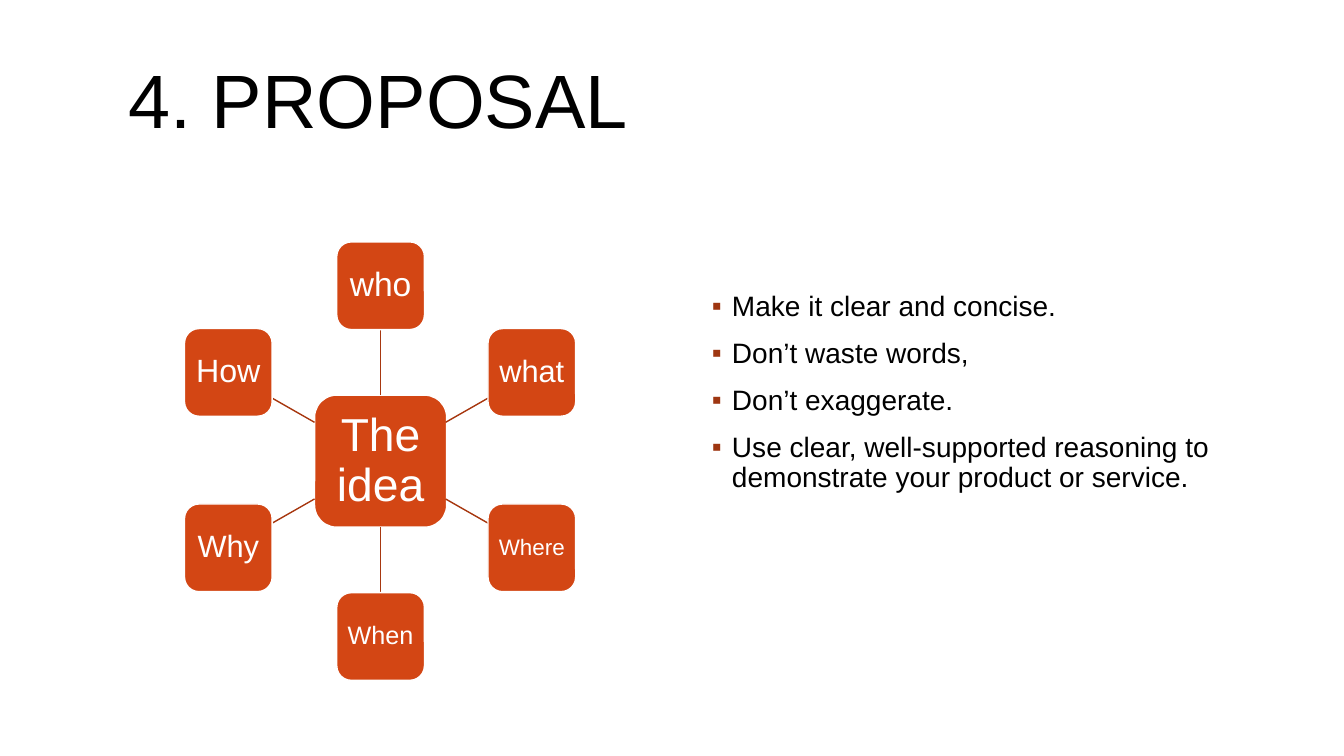
from dataclasses import dataclass
from math import cos, radians, sin

from lxml import etree
from pptx import Presentation
from pptx.dml.color import RGBColor
from pptx.enum.shapes import MSO_CONNECTOR, MSO_SHAPE
from pptx.enum.text import MSO_ANCHOR, MSO_AUTO_SIZE, PP_ALIGN
from pptx.oxml.ns import qn
from pptx.util import Emu, Pt

ROUNDED = MSO_SHAPE.ROUNDED_RECTANGLE
STRAIGHT = MSO_CONNECTOR.STRAIGHT
TOP, MIDDLE = MSO_ANCHOR.TOP, MSO_ANCHOR.MIDDLE
LEFT, CENTER = PP_ALIGN.LEFT, PP_ALIGN.CENTER
EMU_PER_PX = 9144  # 100 px to the inch
SIDE_TOP, SIDE_BOTTOM = 0, 2


@dataclass(frozen=True)
class Theme:
    font: str = "Arial"
    ink: str = "000000"
    paper: str = "FFFFFF"
    node: str = "D34614"
    spoke: str = "A7370F"
    bullet: str = "9E3611"
    title_size: int = 54
    body_size: int = 20
    hub_size: int = 33
    line_width: int = 1
    line_spacing: float = 0.9


THEME = Theme()
TITLE = "4. PROPOSAL"
ADVICE = [
    "Make it clear and concise.",
    "Don’t waste words,",
    "Don’t exaggerate.",
    "Use clear, well-supported reasoning to demonstrate your product or service.",
]
HUB_LABEL = "The idea"
QUESTIONS = [("who", 24), ("what", 22), ("Where", 16),
             ("When", 18), ("Why", 22), ("How", 23)]
HUB_X, HUB_Y = 377, 457
HUB_SIDE, QUESTION_SIDE, ORBIT = 131, 87, 174


def px(length):
    return Emu(round(length) * EMU_PER_PX)


def rgb(value):
    return RGBColor.from_string(value)


def place(shape, left, top, width, height):
    shape.left, shape.top = px(left), px(top)
    shape.width, shape.height = px(width), px(height)


def set_frame(frame, anchor, side_inset, top_inset, bottom_inset):
    frame.word_wrap = True
    frame.auto_size = MSO_AUTO_SIZE.NONE
    frame.vertical_anchor = anchor
    frame.margin_left = frame.margin_right = px(side_inset)
    frame.margin_top, frame.margin_bottom = px(top_inset), px(bottom_inset)


def write(paragraph, text, size, color, align, space_before=0):
    paragraph.alignment = align
    paragraph.line_spacing = THEME.line_spacing
    paragraph.space_before = Pt(space_before)
    paragraph.space_after = Pt(0)
    run = paragraph.add_run()
    run.text = text
    run.font.name = THEME.font
    run.font.size = Pt(size)
    run.font.color.rgb = rgb(color)


def add_bullet(paragraph, indent):
    properties = paragraph._p.get_or_add_pPr()
    properties.set("marL", str(px(indent)))
    properties.set("indent", str(-px(indent)))
    color = etree.SubElement(properties, qn("a:buClr"))
    etree.SubElement(color, qn("a:srgbClr"), val=THEME.bullet)
    etree.SubElement(properties, qn("a:buFont"), typeface=THEME.font)
    etree.SubElement(properties, qn("a:buChar"), char="▪")


def fill_title(title):
    place(title, 117, 53, 1100, 176)
    set_frame(title.text_frame, TOP, 10, 10, 5)
    write(title.text_frame.paragraphs[0], TITLE, THEME.title_size, THEME.ink, LEFT)


def fill_advice(body):
    place(body, 696, 240, 520, 435)
    frame = body.text_frame
    set_frame(frame, TOP, 10, 50, 5)
    for index, advice in enumerate(ADVICE):
        paragraph = frame.add_paragraph() if index else frame.paragraphs[0]
        add_bullet(paragraph, 20)
        write(paragraph, advice, THEME.body_size, THEME.ink, LEFT,
              12 if index else 0)


def add_node(slide, center_x, center_y, side, label, size, inset):
    """Add a rounded square centred on the given point."""
    node = slide.shapes.add_shape(ROUNDED, px(center_x - side / 2),
                                  px(center_y - side / 2), px(side), px(side))
    node.shadow.inherit = False
    node.fill.solid()
    node.fill.fore_color.rgb = rgb(THEME.node)
    node.line.color.rgb = rgb(THEME.paper)
    node.line.width = Pt(THEME.line_width)
    set_frame(node.text_frame, MIDDLE, inset, inset, inset)
    write(node.text_frame.paragraphs[0], label, size, THEME.paper, CENTER)
    return node


def add_spoke(slide, angle):
    """Add a line along the angle, from the hub's edge to the question's edge."""
    across, down = cos(angle), sin(angle)
    reach = max(abs(across), abs(down))
    start = HUB_SIDE / 2 / reach
    end = ORBIT - QUESTION_SIDE / 2 / reach
    spoke = slide.shapes.add_connector(
        STRAIGHT,
        px(HUB_X + start * across), px(HUB_Y + start * down),
        px(HUB_X + end * across), px(HUB_Y + end * down))
    spoke.line.color.rgb = rgb(THEME.spoke)
    spoke.line.width = Pt(THEME.line_width)
    etree.SubElement(spoke._element.spPr, qn("a:effectLst"))
    return spoke


def add_wheel(slide):
    hub = add_node(slide, HUB_X, HUB_Y, HUB_SIDE, HUB_LABEL, THEME.hub_size, 9)
    joints = {0: (SIDE_TOP, SIDE_BOTTOM),
              len(QUESTIONS) // 2: (SIDE_BOTTOM, SIDE_TOP)}
    for index, (label, size) in enumerate(QUESTIONS):
        angle = radians(360 / len(QUESTIONS) * index - 90)
        spoke = add_spoke(slide, angle)
        question = add_node(slide, HUB_X + ORBIT * cos(angle),
                            HUB_Y + ORBIT * sin(angle),
                            QUESTION_SIDE, label, size, 4)
        if index in joints:
            hub_side, question_side = joints[index]
            spoke.begin_connect(hub, hub_side)
            spoke.end_connect(question, question_side)


def main():
    deck = Presentation()
    deck.slide_width, deck.slide_height = px(1333), px(750)
    slide = deck.slides.add_slide(deck.slide_layouts[1])
    fill_title(slide.shapes.title)
    add_wheel(slide)
    fill_advice(slide.placeholders[1])
    deck.save("out.pptx")


if __name__ == "__main__":
    main()
